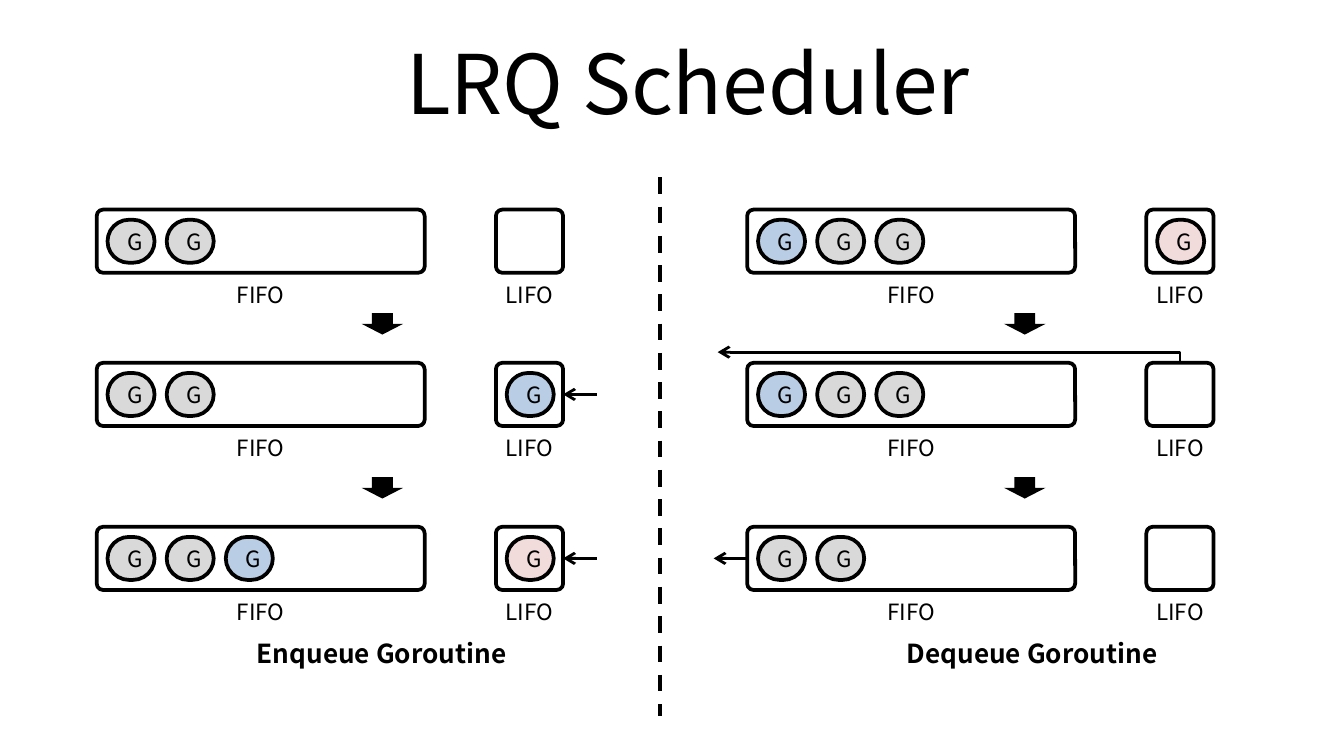
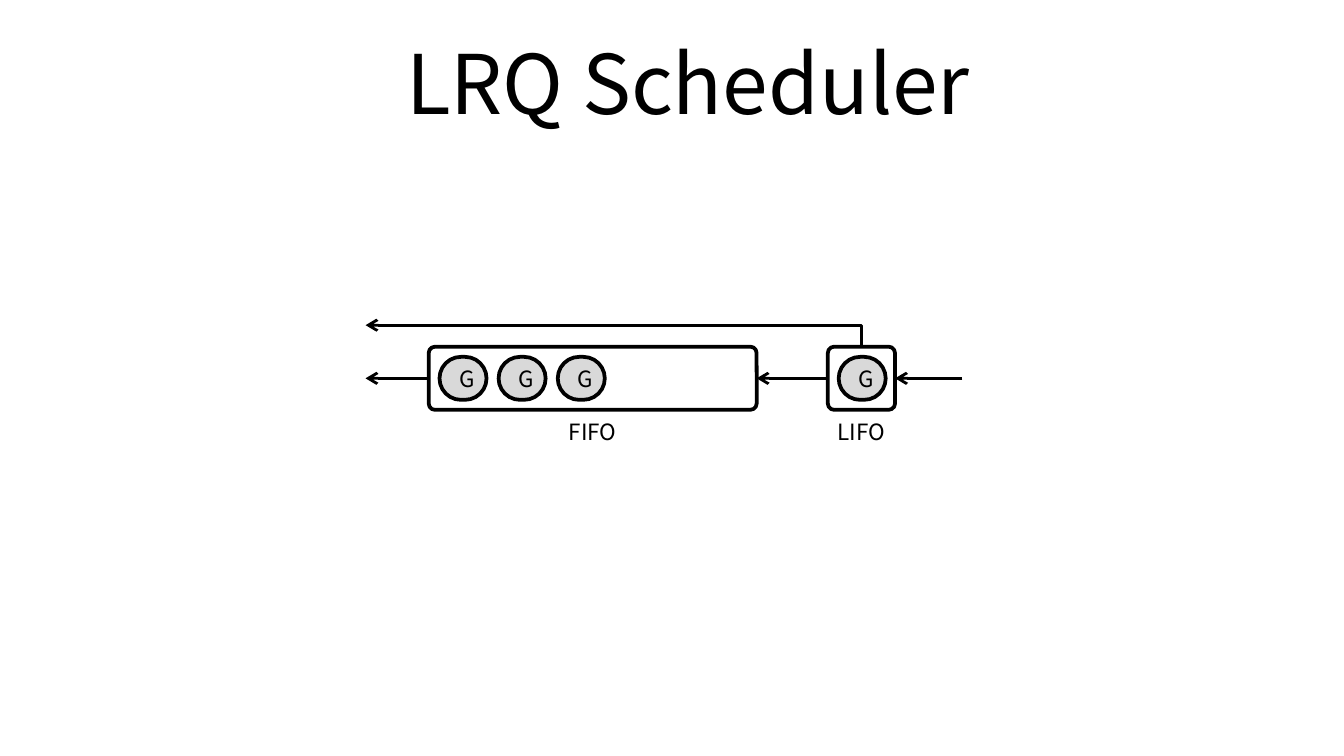
import pptx
import pptx.dml.color
import pptx.enum.dml
import pptx.enum.shapes
import pptx.enum.text
import pptx.util
from lxml import etree

FONT = "Noto Sans CJK KR"
BLACK, WHITE = "000000", "FFFFFF"
GRAY, BLUE, PINK = "D9D9D9", "B9CDE5", "F2DCDB"
SHAPES = pptx.enum.shapes.MSO_SHAPE

# The slide is a grid of 100 columns; rows are as tall as columns are wide.
SLIDE_WIDTH = pptx.util.Inches(10)
SLIDE_HEIGHT = pptx.util.Inches(5.625)
CELL = SLIDE_WIDTH / 100

# Parts of a queue, in cells from the top left corner of its FIFO box.
FIFO_WIDTH, BOX_HEIGHT = 24.4, 4.7
LIFO_LEFT, LIFO_WIDTH = 29.7, 5
LIFO_RIGHT, LIFO_CENTER = LIFO_LEFT + LIFO_WIDTH, LIFO_LEFT + LIFO_WIDTH / 2
SLOT_INSET, SLOT_PITCH = 0.8, 4.4
SLOT_WIDTH, SLOT_HEIGHT = 3.5, 3.2
LABEL_WIDTH, LABEL_HEIGHT = 21.8, 3.2

# Stages of slide 1: top, FIFO colours, LIFO colour, entering, leaving, bypassing.
STAGE_TOPS = (15.6, 27, 39.2)
ENQUEUE_STAGES = (
    ([GRAY, GRAY], None, {}),
    ([GRAY, GRAY], BLUE, {"entry": 2.5}),
    ([GRAY, GRAY, BLUE], PINK, {"entry": 2.5}),
)
DEQUEUE_STAGES = (
    ([BLUE, GRAY, GRAY], PINK, {}),
    ([BLUE, GRAY, GRAY], None, {"bypass": (2.2, 0.8)}),
    ([GRAY, GRAY], None, {"exit": 2.5}),
)


def cells(*lengths):
    return [pptx.util.Emu(round(length * CELL)) for length in lengths]


def color(value):
    return pptx.dml.color.RGBColor.from_string(value)


def set_line(line, width):
    line.color.rgb = color(BLACK)
    line.width = pptx.util.Pt(width)


def add_arrowhead(shape):
    """Put an open arrowhead at the end of a line."""
    outline = shape.line._get_or_add_ln()
    etree.SubElement(outline, pptx.oxml.ns.qn("a:tailEnd"), type="arrow")


def write(shape, text, size, bold=False):
    frame = shape.text_frame
    frame.text = text
    frame.vertical_anchor = pptx.enum.text.MSO_ANCHOR.MIDDLE
    para = frame.paragraphs[0]
    para.alignment = pptx.enum.text.PP_ALIGN.CENTER
    for span in para.runs:
        span.font.name = FONT
        span.font.size = pptx.util.Pt(size)
        span.font.bold = bold
        span.font.color.rgb = color(BLACK)


def add_block(page, kind, box, fill=None, line_width=None):
    shape = page.shapes.add_shape(kind, *cells(*box))
    shape.shadow.inherit = False
    if fill:
        shape.fill.solid()
        shape.fill.fore_color.rgb = color(fill)
    else:
        shape.fill.background()
    if line_width:
        set_line(shape.line, line_width)
    else:
        shape.line.fill.background()
    return shape


def add_label(page, text, center, top, size=12, bold=False):
    box = (center - LABEL_WIDTH / 2, top, LABEL_WIDTH, LABEL_HEIGHT)
    write(add_block(page, SHAPES.ROUNDED_RECTANGLE, box), text, size, bold)


def add_line(page, start, end, width=1.5):
    line = page.shapes.add_connector(
        pptx.enum.shapes.MSO_CONNECTOR.STRAIGHT, *cells(*start, *end))
    set_line(line.line, width)
    etree.SubElement(line._element.spPr, pptx.oxml.ns.qn("a:effectLst"))
    return line


def add_arrow(page, start, length):
    """Draw an arrow that points left."""
    add_arrowhead(add_line(page, start, (start[0] - length, start[1])))


def add_bypass(page, left, top, reach, rise):
    """Lead an arrow from the LIFO box over the FIFO box and beyond it."""
    corner = left + LIFO_CENTER
    builder = page.shapes.build_freeform(*cells(corner, top), scale=1.0)
    builder.add_line_segments(
        [cells(corner, top - rise), cells(left - reach, top - rise)], close=False)
    shape = builder.convert_to_shape()
    shape.shadow.inherit = False
    shape.fill.background()
    set_line(shape.line, 1.5)
    add_arrowhead(shape)


def add_goroutine(page, left, top, fill):
    box = (left, top, SLOT_WIDTH, SLOT_HEIGHT)
    shape = add_block(page, SHAPES.ROUNDED_RECTANGLE, box, fill, 2)
    shape.adjustments[0] = 0.5
    write(shape, "G", 12)


def add_container(page, left, top, width, name, fills):
    box = (left, top, width, BOX_HEIGHT)
    shape = add_block(page, SHAPES.ROUNDED_RECTANGLE, box, WHITE, 2)
    shape.adjustments[0] = 0.1
    for slot, fill in enumerate(fills):
        add_goroutine(page, left + SLOT_INSET + slot * SLOT_PITCH,
                      top + (BOX_HEIGHT - SLOT_HEIGHT) / 2, fill)
    add_label(page, name, left + width / 2, top + BOX_HEIGHT)


def add_queue(page, left, top, fifo, lifo, entry=0, transfer=False, exit=0,
              bypass=None):
    """Draw a FIFO and a LIFO box; entry and exit are arrow lengths."""
    middle = top + BOX_HEIGHT / 2
    add_container(page, left, top, FIFO_WIDTH, "FIFO", fifo)
    add_container(page, left + LIFO_LEFT, top, LIFO_WIDTH, "LIFO",
                  [lifo] if lifo else [])
    if entry:
        add_arrow(page, (left + LIFO_RIGHT + entry, middle), entry)
    if transfer:
        add_arrow(page, (left + LIFO_LEFT, middle), LIFO_LEFT - FIFO_WIDTH)
    if exit:
        add_arrow(page, (left, middle), exit)
    if bypass:
        add_bypass(page, left, top, *bypass)


def add_process(page, left, arrow_left, caption, stages):
    for top, (fifo, lifo, arrows) in zip(STAGE_TOPS, stages):
        add_queue(page, left, top, fifo, lifo, **arrows)
    for next_top in STAGE_TOPS[1:]:
        add_block(page, SHAPES.DOWN_ARROW,
                  (arrow_left, next_top - 3.7, 3.1, 1.6), BLACK)
    add_label(page, caption, left + 21.2, 47, 14, True)


def add_page(deck, title):
    page = deck.slides.add_slide(deck.slide_layouts.get_by_name("Title Only"))
    box = page.shapes.title
    box.left, box.top, box.width, box.height = cells(6.2, 1.4, 90, 9.4)
    write(box, title, 44)
    return page


def add_steps_page(deck):
    page = add_page(deck, "LRQ Scheduler")
    add_process(page, 7.2, 26.9, "Enqueue Goroutine", ENQUEUE_STAGES)
    add_process(page, 55.6, 74.7, "Dequeue Goroutine", DEQUEUE_STAGES)
    divider = add_line(page, (49.1, 13.2), (49.1, 53.3), 2.25)
    divider.line.dash_style = pptx.enum.dml.MSO_LINE.DASH


def add_overview_page(deck):
    page = add_page(deck, "LRQ Scheduler")
    add_queue(page, 31.9, 25.8, [GRAY] * 3, GRAY, entry=5, transfer=True,
              exit=4.7, bypass=(4.7, 1.6))


def main():
    deck = pptx.Presentation()
    deck.slide_width, deck.slide_height = SLIDE_WIDTH, SLIDE_HEIGHT
    add_steps_page(deck)
    add_overview_page(deck)
    deck.save("out.pptx")


if __name__ == "__main__":
    main()
